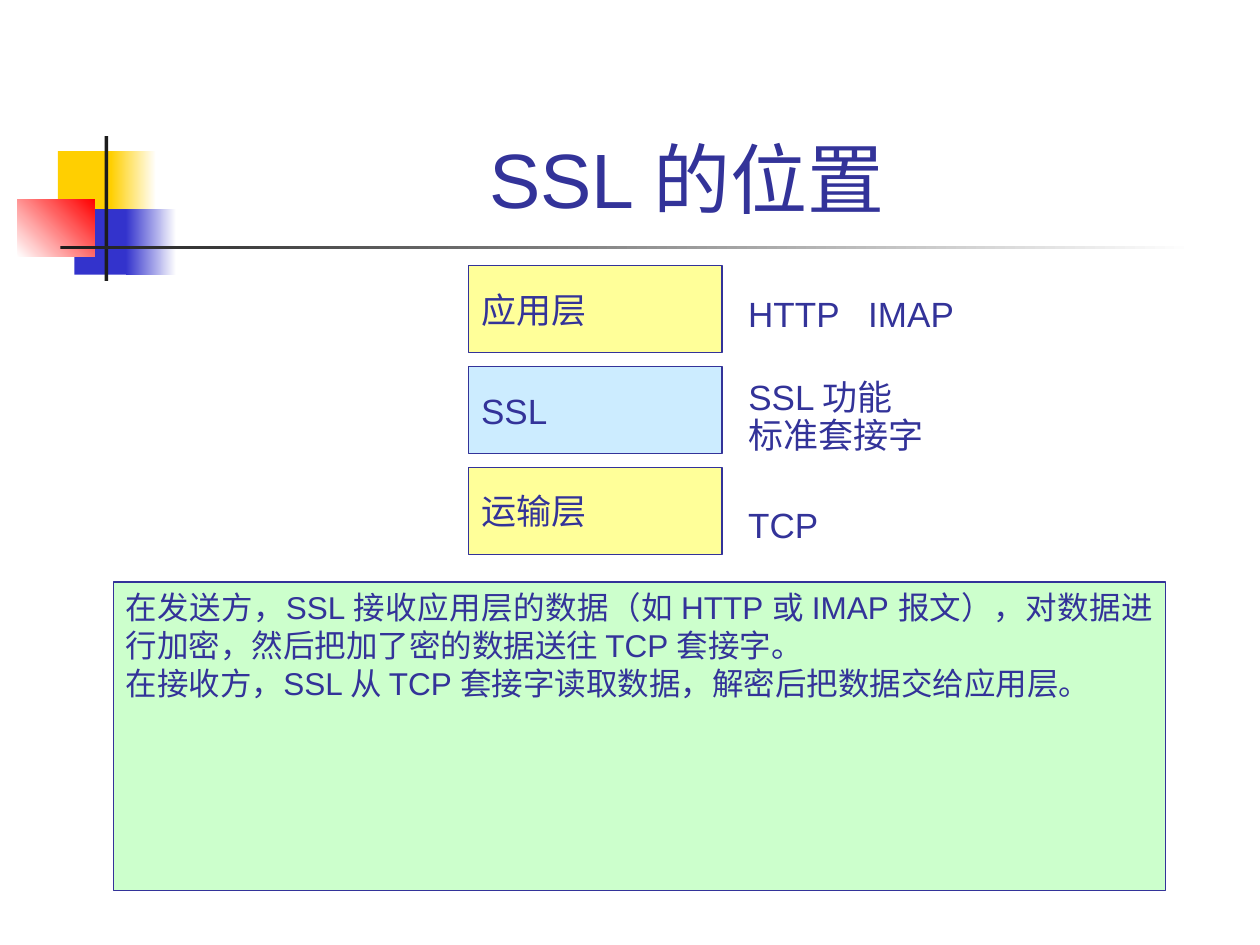
import pptx
import pptx.dml.color
import pptx.enum.shapes
import pptx.enum.text
import pptx.util

Inches = pptx.util.Inches
Pt = pptx.util.Pt
RGB = pptx.dml.color.RGBColor
ALIGN = pptx.enum.text.PP_ALIGN
ANCHOR = pptx.enum.text.MSO_ANCHOR
FIT = pptx.enum.text.MSO_AUTO_SIZE
RECT = pptx.enum.shapes.MSO_SHAPE.RECTANGLE

INK = RGB(0x33, 0x33, 0x99)
GOLD = RGB(0xFF, 0xCF, 0x01)
BLUE = RGB(0x33, 0x33, 0xCC)
RED = RGB(0xFF, 0x00, 0x00)
BLACK = RGB(0x1C, 0x1C, 0x1C)
WHITE = RGB(0xFF, 0xFF, 0xFF)
YELLOW = RGB(0xFF, 0xFF, 0x99)
SKY = RGB(0xCC, 0xEC, 0xFF)
GREEN = RGB(0xCC, 0xFF, 0xCC)


def write(frame, lines, size, para=None, **form):
    """Fill a text frame; form formats the frame, para each paragraph."""
    for name, value in form.items():
        setattr(frame, name, value)
    frame.text = "\n".join(lines)
    for item in frame.paragraphs:
        for name, value in (para or {}).items():
            setattr(item, name, value)
        for run in item.runs:
            for name, value in {"name": "Arial", "size": Pt(size)}.items():
                setattr(run.font, name, value)
            run.font.color.rgb = INK


def add_rect(slide, box, fill, end=None, angle=0, line=None):
    """Add a rectangle, filled plain or fading from fill to end."""
    rect = slide.shapes.add_shape(RECT, *map(Inches, box))
    rect.shadow.inherit = False
    if end is None:
        rect.fill.solid()
        rect.fill.fore_color.rgb = fill
    else:
        rect.fill.gradient()
        rect.fill.gradient_angle = angle
        for stop, color in zip(rect.fill.gradient_stops, (fill, end)):
            stop.color.rgb = color
    if line is None:
        rect.line.fill.background()
    else:
        rect.line.color.rgb = line
        rect.line.width = Pt(0.75)
    return rect


def add_motif(slide, left, top):
    """Draw the coloured squares and the crossed bars."""
    parts = [
        (0.32, 0.12, 0.48, 0.52, GOLD, None, 0),
        (0.74, 0.12, 0.36, 0.52, GOLD, WHITE, 0),
        (0.45, 0.58, 0.46, 0.52, BLUE, None, 0),
        (0.86, 0.58, 0.4, 0.52, BLUE, WHITE, 0),
        (0, 0.5, 0.61, 0.46, WHITE, RED, 45),
        (0.69, 0, 0.03, 1.15, BLACK, None, 0),
        (0.34, 0.87, 9, 0.03, BLACK, WHITE, 0),
    ]
    for x, y, wide, high, fill, end, angle in parts:
        add_rect(slide, (left + x, top + y, wide, high), fill, end, angle)


def set_title(slide, box, text):
    title = slide.shapes.title
    places = zip(("left", "top", "width", "height"), box)
    for name, value in places:
        setattr(title, name, Inches(value))
    write(title.text_frame, [text], 44, {"alignment": ALIGN.CENTER},
          vertical_anchor=ANCHOR.BOTTOM, auto_size=FIT.NONE)
    # Bring the title in front of the motif
    slide.shapes.element.append(title.element)


def add_label(slide, box, lines, space=None):
    label = slide.shapes.add_textbox(*map(Inches, box))
    write(label.text_frame, lines, 20, {"line_spacing": space},
          word_wrap=False, auto_size=FIT.SHAPE_TO_FIT_TEXT)


def add_stack(slide, left, top):
    """Draw the three layers, each with its label to the right."""
    wide, high, pitch, shift = 2.01, 0.69, 0.8, 2.12
    layers = [
        ("应用层", YELLOW, ["HTTP   IMAP"], (0.16, 1.84, 0.44), None),
        ("SSL", SKY, ["SSL 功能", "标准套接字"], (0.06, 1.59, 0.7), 0.9),
        ("运输层", YELLOW, ["TCP"], (0.24, 0.76, 0.43), None),
    ]
    for i, (name, fill, lines, (drop, *size), space) in enumerate(layers):
        y = top + i * pitch
        layer = add_rect(slide, (left, y, wide, high), fill, line=INK)
        write(layer.text_frame, [name], 20, {"alignment": ALIGN.LEFT},
              word_wrap=False, vertical_anchor=ANCHOR.MIDDLE)
        add_label(slide, (left + shift, y + drop, *size), lines, space)


def add_note(slide, box, lines):
    note = add_rect(slide, box, GREEN, line=INK)
    write(note.text_frame, lines, 18, {"alignment": ALIGN.JUSTIFY},
          word_wrap=True, vertical_anchor=ANCHOR.TOP)


def main():
    deck = pptx.Presentation()
    deck.slide_width, deck.slide_height = Inches(10), Inches(7.5)
    slide = deck.slides.add_slide(deck.slide_layouts[5])
    add_motif(slide, 0.14, 1.08)
    set_title(slide, (1.26, 0.23, 8.52, 1.6), "SSL 的位置 ")
    add_stack(slide, 3.72, 2.11)
    add_note(slide, (0.9, 4.62, 8.35, 2.45), [
        "在发送方，SSL 接收应用层的数据（如 HTTP 或 IMAP 报文），"
        "对数据进行加密，然后把加了密的数据送往 TCP 套接字。",
        "在接收方，SSL 从 TCP 套接字读取数据，解密后把数据交给应用层。",
    ])
    deck.save("out.pptx")


if __name__ == "__main__":
    main()
